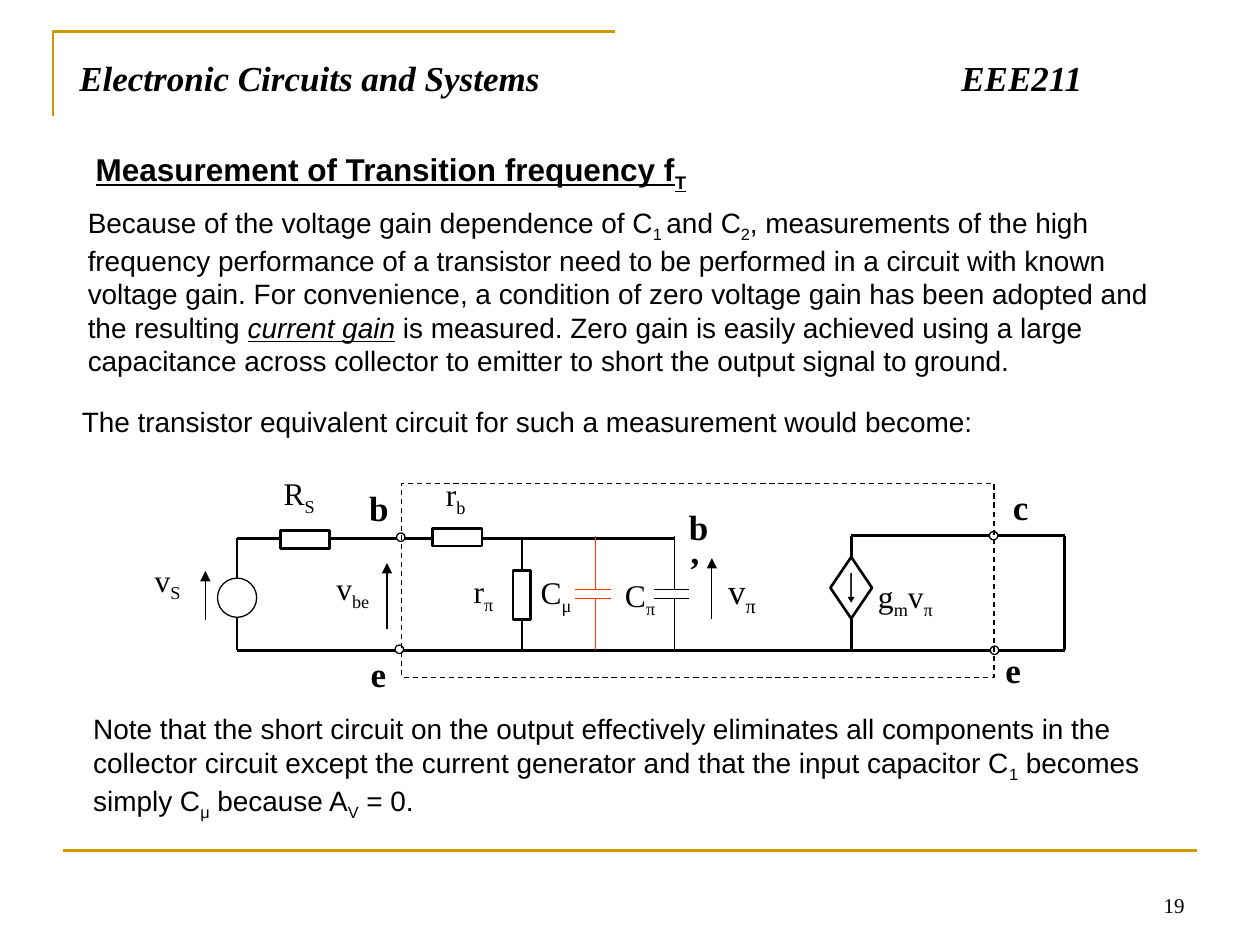
from pptx import Presentation
from pptx.dml.color import RGBColor
from pptx.enum.dml import MSO_LINE
from pptx.enum.shapes import MSO_CONNECTOR, MSO_SHAPE
from pptx.enum.text import MSO_ANCHOR, PP_ALIGN
from pptx.oxml.ns import qn
from pptx.util import Cm, Pt
from lxml.etree import SubElement

COLORS = {"ink": "000000", "gold": "CC9900", "red": "FF3300", "paper": "FFFFFF"}
SERIF, SANS = "Times New Roman", "Arial"
THICK, THIN = 1.5, 0.75

# Circuit rails and columns, in cm
TOP, OUT_TOP, BOTTOM = 10.85, 10.8, 13.11
LEFT, RIGHT = 4.78, 21.46
R_PI_X, C_MU_X, C_PI_X, GENERATOR_X = 10.52, 12.01, 13.59, 17.16
PLATES = (11.89, 12.06)


def rgb(name):
    return RGBColor.from_string(COLORS[name])


def add_text(s, x, y, w, h, runs, size, font=SANS, bold=False, italic=False,
             underline=False, inset=True):
    """Text box; each run is (text, style), style being "", "sub" or "term"."""
    sp = s.shapes.add_textbox(Cm(x), Cm(y), Cm(w), Cm(h))
    tf = sp.text_frame
    tf.word_wrap = True
    if not inset:
        tf.margin_left = tf.margin_right = tf.margin_top = tf.margin_bottom = 0
    p = tf.paragraphs[0]
    for text, style in runs:
        r = p.add_run()
        r.text = text
        f = r.font
        f.name, f.size, f.bold = font, Pt(size), bold
        f.italic = italic or style == "term"
        f.underline = underline or style == "term"
        f.color.rgb = rgb("ink")
        if style == "sub":
            r._r.get_or_add_rPr().set("baseline", "-25000")
    return tf


def add_label(s, x, y, w, base, sub="", size=18, bold=False):
    runs = [(base, "")] + ([(sub, "sub")] if sub else [])
    add_text(s, x, y, w, 0.8, runs, size, SERIF, bold, inset=False)


def add_line(s, x1, y1, x2, y2, width=THIN, color="ink", arrow=False):
    c = s.shapes.add_connector(MSO_CONNECTOR.STRAIGHT, Cm(x1), Cm(y1), Cm(x2), Cm(y2))
    c.line.color.rgb = rgb(color)
    c.line.width = Pt(width)
    if arrow:
        SubElement(c.line._get_or_add_ln(), qn("a:tailEnd"), type="triangle")
    SubElement(c._element.spPr, qn("a:effectLst"))


def style_shape(sp, fill, width, color="ink"):
    sp.shadow.inherit = False
    if fill:
        sp.fill.solid()
        sp.fill.fore_color.rgb = rgb(fill)
    else:
        sp.fill.background()
    sp.line.color.rgb = rgb(color)
    sp.line.width = Pt(width)


def add_centred(s, kind, cx, cy, w, h, width=THIN, fill="paper"):
    sp = s.shapes.add_shape(kind, Cm(cx - w / 2), Cm(cy - h / 2), Cm(w), Cm(h))
    style_shape(sp, fill, width)
    return sp


def add_outline(s, points, width, color="ink", fill=None, close=True):
    pts = [(Cm(x), Cm(y)) for x, y in points]
    fb = s.shapes.build_freeform(*pts[0])
    fb.add_line_segments(pts[1:], close=close)
    style_shape(fb.convert_to_shape(), fill, width, color)


def add_capacitor(s, x, color):
    upper, lower = PLATES
    add_line(s, x, OUT_TOP, x, upper, color=color)
    add_line(s, x, lower, x, BOTTOM, color=color)
    for y in PLATES:
        add_line(s, x + 0.3, y, x - 0.41, y, color=color)


def add_frame(s):
    add_outline(s, [(1.07, 2.34), (1.07, 0.64), (12.4, 0.64)], THICK, "gold", close=False)
    add_line(s, 1.27, 17.15, 24.13, 17.15, THICK, "gold")
    tf = add_text(s, 18.21, 17.35, 5.92, 1.27, [("19", "")], 12, SERIF)
    tf.vertical_anchor = MSO_ANCHOR.BOTTOM
    tf.paragraphs[0].alignment = PP_ALIGN.RIGHT


def add_title(s):
    tf = add_text(s, 1.35, 1.02, 22.66, 1.55,
                  [("Electronic Circuits and Systems\tEEE211", "")],
                  20, SERIF, bold=True, italic=True)
    tabs = SubElement(tf.paragraphs[0]._p.get_or_add_pPr(), qn("a:tabLst"))
    SubElement(tabs, qn("a:tab"), pos=str(Cm(17.78)), algn="l")


def add_body(s):
    add_text(s, 1.68, 2.9, 20.93, 1.02,
             [("Measurement of Transition frequency f", ""), ("T", "sub")],
             18, bold=True, underline=True)
    add_text(s, 1.52, 4.01, 22.78, 3.66, [
        ("Because of the voltage gain dependence of C", ""), ("1 ", "sub"),
        ("and C", ""), ("2", "sub"),
        (", measurements of the high frequency performance of a transistor need to be "
         "performed in a circuit with known voltage gain. For convenience, a condition of "
         "zero voltage gain has been adopted and the resulting ", ""),
        ("current gain", "term"),
        (" is measured. Zero gain is easily achieved using a large capacitance across "
         "collector to emitter to short the output signal to ground.", "")], 16)
    add_text(s, 1.4, 8.03, 19.35, 0.94, [
        ("The transistor equivalent circuit for such a measurement would become:", "")], 16)
    add_text(s, 1.63, 14.22, 22.3, 2.29, [
        ("Note that the short circuit on the output effectively eliminates all components in "
         "the collector circuit except the current generator and that the input capacitor C", ""),
        ("1", "sub"), (" becomes simply C", ""), ("μ", "sub"),
        (" because A", ""), ("V", "sub"), (" = 0.", "")], 16)


def add_circuit(s):
    # Wires
    add_line(s, LEFT, BOTTOM, RIGHT, BOTTOM, THICK)
    add_line(s, LEFT, TOP, 13.61, TOP, THICK)
    add_line(s, LEFT, TOP, LEFT, BOTTOM, THICK)
    add_line(s, GENERATOR_X, OUT_TOP, RIGHT, OUT_TOP, THICK)
    add_line(s, RIGHT, OUT_TOP, RIGHT, BOTTOM, THICK)
    add_line(s, R_PI_X, TOP, R_PI_X, BOTTOM)

    # Voltage source and resistors
    add_centred(s, MSO_SHAPE.OVAL, LEFT, 12.05, 0.79, 0.79)
    for cx, cy, w, h in [(6.15, 10.88, 0.99, 0.36), (9.22, 10.83, 0.99, 0.36),
                         (R_PI_X, 12.0, 0.36, 0.99)]:
        add_centred(s, MSO_SHAPE.RECTANGLE, cx, cy, w, h, THICK)

    # Capacitors
    add_capacitor(s, C_MU_X, "red")
    add_capacitor(s, C_PI_X, "ink")

    # Current generator with its direction arrow
    x, y, dx, dy = GENERATOR_X, 11.85, 0.42, 0.62
    add_line(s, x, OUT_TOP, x, y - dy, THICK)
    add_line(s, x, y + dy, x, BOTTOM, THICK)
    add_outline(s, [(x, y - dy), (x - dx, y), (x, y + dy), (x + dx, y)], THICK)
    add_outline(s, [(x - 0.01, 11.56), (x + 0.01, 11.56), (x + 0.01, 12.04), (x + 0.06, 12.04),
                    (x, 12.14), (x - 0.06, 12.04), (x - 0.01, 12.04)], 0.25, fill="ink")

    # Terminals and transistor boundary
    for cx, cy in [(8.08, 10.83), (8.05, 13.09), (20.05, BOTTOM), (20.03, OUT_TOP)]:
        add_centred(s, MSO_SHAPE.OVAL, cx, cy, 0.17, 0.17)
    box = add_centred(s, MSO_SHAPE.RECTANGLE, 14.07, 11.7, 11.94, 3.91, fill=None)
    box.line.dash_style = MSO_LINE.DASH

    # Voltage arrows
    for x, start, end in [(4.14, 12.5, 11.51), (7.8, 12.67, 11.35), (14.35, 12.47, 11.25)]:
        add_line(s, x, start, x, end, arrow=True)

    # Component labels
    for x, y, w, base, sub in [
            (3.12, 11.3, 1.07, "v", "S"), (5.72, 9.55, 1.07, "R", "S"),
            (6.78, 11.48, 1.07, "v", "be"), (8.99, 9.58, 0.69, "r", "b"),
            (9.55, 11.53, 0.69, "r", "π"), (10.9, 11.56, 0.97, "C", "μ"),
            (12.6, 11.61, 0.97, "C", "π")]:
        add_label(s, x, y, w, base, sub)
    add_label(s, 14.68, 11.48, 0.74, "v", "π", size=20)
    add_text(s, 17.7, 11.63, 1.45, 0.76,
             [("g", ""), ("m", "sub"), ("v", ""), ("π", "sub")], 18, SERIF, inset=False)

    # Terminal names
    for x, y, w, name in [(7.44, 9.8, 0.4, "b"), (7.47, 13.16, 0.33, "e"),
                          (13.89, 10.19, 0.6, "b’"), (20.42, 9.78, 0.33, "c"),
                          (20.27, 13.08, 0.33, "e")]:
        add_label(s, x, y, w, name, size=20, bold=True)


def main():
    prs = Presentation()
    prs.slide_width, prs.slide_height = Cm(25.4), Cm(19.05)
    s = prs.slides.add_slide(prs.slide_layouts[6])
    add_frame(s)
    add_title(s)
    add_body(s)
    add_circuit(s)
    prs.save("out.pptx")


if __name__ == "__main__":
    main()
